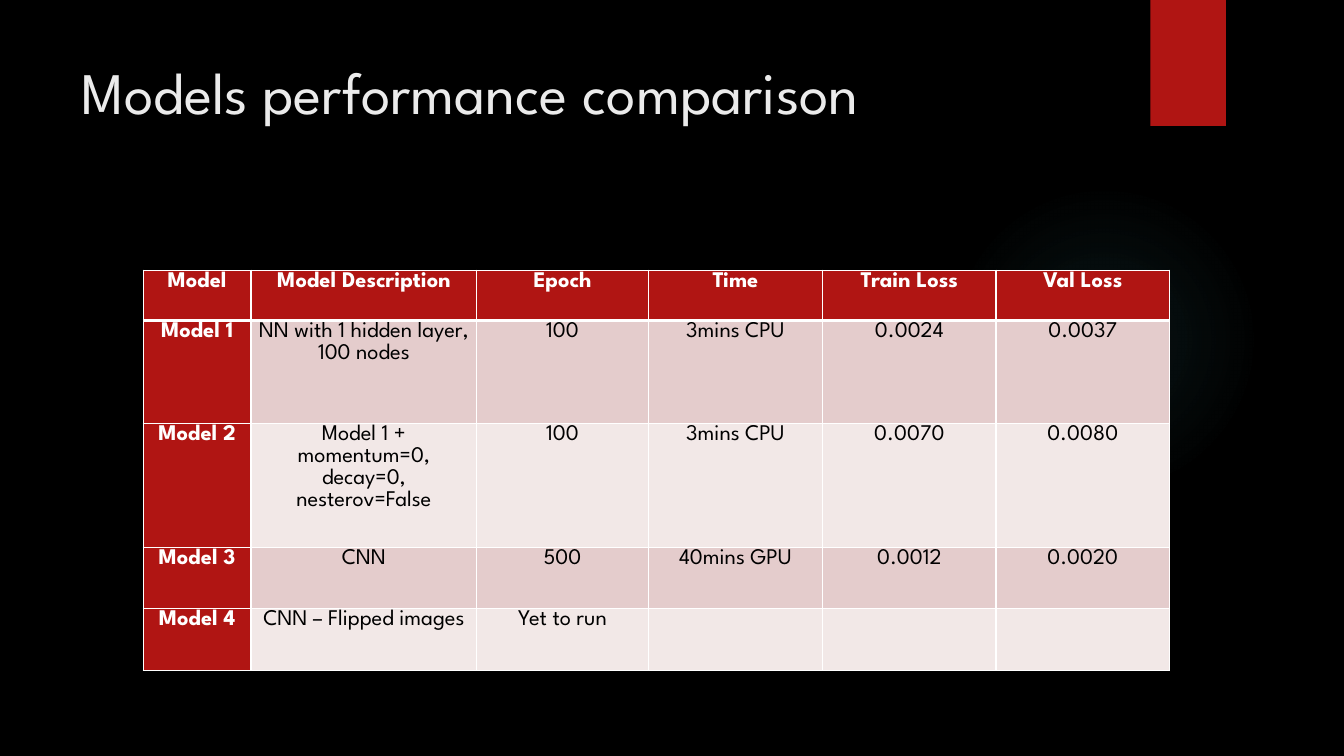
from lxml import etree
from pptx import Presentation
from pptx.dml.color import RGBColor
from pptx.enum.shapes import MSO_SHAPE
from pptx.enum.text import MSO_ANCHOR, PP_ALIGN
from pptx.oxml import parse_xml
from pptx.oxml.ns import qn
from pptx.util import Inches, Pt

RECTANGLE, OVAL = MSO_SHAPE.RECTANGLE, MSO_SHAPE.OVAL
TOP = MSO_ANCHOR.TOP
LEFT, CENTER = PP_ALIGN.LEFT, PP_ALIGN.CENTER

BLACK = RGBColor(0x00, 0x00, 0x00)
WHITE = RGBColor(0xFF, 0xFF, 0xFF)
RED = RGBColor(0xB0, 0x15, 0x13)
TITLE_GREY = RGBColor(0xEB, 0xEB, 0xEB)
DARK_BAND = RGBColor(0xE4, 0xCC, 0xCC)
LIGHT_BAND = RGBColor(0xF2, 0xE8, 0xE7)
GLOW = RGBColor(0x50, 0xB9, 0xC1)

FONT = "League Spartan"
GLOW_STOPS = [(0, 7), (36, 6), (69, 0)]  # position and opacity in percent
COLUMN_WIDTHS = [1.07, 2.24, 1.7, 1.73, 1.72, 1.72]
ROW_HEIGHTS = [0.5, 1.02, 1.23, 0.61, 0.61]
RESULTS = [
    ["Model", "Model Description", "Epoch", "Time", "Train Loss", "Val Loss"],
    ["Model 1", "NN with 1 hidden layer, 100 nodes", "100", "3mins CPU", "0.0024", "0.0037"],
    ["Model 2", "Model 1 + momentum=0, decay=0, nesterov=False", "100", "3mins CPU", "0.0070", "0.0080"],
    ["Model 3", "CNN", "500", "40mins GPU", "0.0012", "0.0020"],
    ["Model 4", "CNN – Flipped images", "Yet to run", "", "", ""],
]


def style_font(font, size, color, bold=False):
    font.name, font.size, font.bold = FONT, Pt(size), bold
    font.color.rgb = color


def add_plain_shape(slide, kind, left, top, width, height, color):
    shape = slide.shapes.add_shape(
        kind, Inches(left), Inches(top), Inches(width), Inches(height))
    shape.shadow.inherit = False
    shape.fill.solid()
    shape.fill.fore_color.rgb = color
    shape.line.fill.background()
    return shape


def add_backdrop(slide):
    slide.background.fill.solid()
    slide.background.fill.fore_color.rgb = BLACK

    # Faint round glow, fading outwards
    glow = add_plain_shape(slide, OVAL, 9.41, 1.83, 3.08, 3.08, GLOW)
    stops = "".join(
        f'<a:gs pos="{position * 1000}"><a:srgbClr val="{GLOW}">'
        f'<a:alpha val="{opacity * 1000}"/></a:srgbClr></a:gs>'
        for position, opacity in GLOW_STOPS)
    gradient = parse_xml(
        '<a:gradFill xmlns:a="http://schemas.openxmlformats.org/drawingml/2006/main">'
        f'<a:gsLst>{stops}</a:gsLst><a:path path="circle">'
        '<a:fillToRect l="50000" t="50000" r="50000" b="50000"/></a:path></a:gradFill>')
    properties = glow.element.spPr
    properties.replace(properties.find(qn("a:solidFill")), gradient)

    # Red tab at the top edge
    add_plain_shape(slide, RECTANGLE, 11.41, 0, 0.75, 1.25, RED)


def add_title(slide, left, top, width, height):
    title = slide.shapes.title
    title.left, title.top = Inches(left), Inches(top)
    title.width, title.height = Inches(width), Inches(height)
    frame = title.text_frame
    frame.text = "Models performance comparison"
    frame.vertical_anchor = TOP
    paragraph = frame.paragraphs[0]
    paragraph.alignment = LEFT
    style_font(paragraph.font, 42, TITLE_GREY)


def set_borders(cell, widths):
    properties = cell._tc.get_or_add_tcPr()
    for index, (side, width) in enumerate(widths.items()):
        line = etree.Element(qn(f"a:ln{side}"), w=str(Pt(width)))
        fill = etree.SubElement(line, qn("a:solidFill"))
        etree.SubElement(fill, qn("a:srgbClr"), val=str(WHITE))
        properties.insert(index, line)


def fill_cell(cell, text, row, column):
    is_header = row == 0 or column == 0
    band = DARK_BAND if row % 2 else LIGHT_BAND
    cell.fill.solid()
    cell.fill.fore_color.rgb = RED if is_header else band
    cell.margin_left = cell.margin_right = Inches(0.07)
    cell.margin_top = cell.margin_bottom = 0
    cell.text = text
    paragraph = cell.text_frame.paragraphs[0]
    paragraph.alignment = CENTER
    paragraph.line_spacing = 1.07
    style_font(paragraph.font, 16, WHITE if is_header else BLACK, is_header)
    # Thick rule between the heading row and the body
    set_borders(cell, {"L": 1, "R": 1, "T": 3 if row == 1 else 1, "B": 3 if row == 0 else 1})


def add_results_table(slide, left, top):
    table = slide.shapes.add_table(
        len(ROW_HEIGHTS), len(COLUMN_WIDTHS), Inches(left), Inches(top),
        Inches(sum(COLUMN_WIDTHS)), Inches(sum(ROW_HEIGHTS))).table
    for column, width in zip(table.columns, COLUMN_WIDTHS):
        column.width = Inches(width)
    for row, height in zip(table.rows, ROW_HEIGHTS):
        row.height = Inches(height)
    for row, texts in enumerate(RESULTS):
        for column, text in enumerate(texts):
            fill_cell(table.cell(row, column), text, row, column)


def main():
    presentation = Presentation()
    presentation.slide_width = Inches(13.33)
    presentation.slide_height = Inches(7.5)
    slide = presentation.slides.add_slide(presentation.slide_layouts[5])
    add_backdrop(slide)
    add_title(slide, 0.71, 0.5, 10.29, 1.53)
    add_results_table(slide, 1.42, 2.68)
    presentation.save("out.pptx")


if __name__ == "__main__":
    main()
